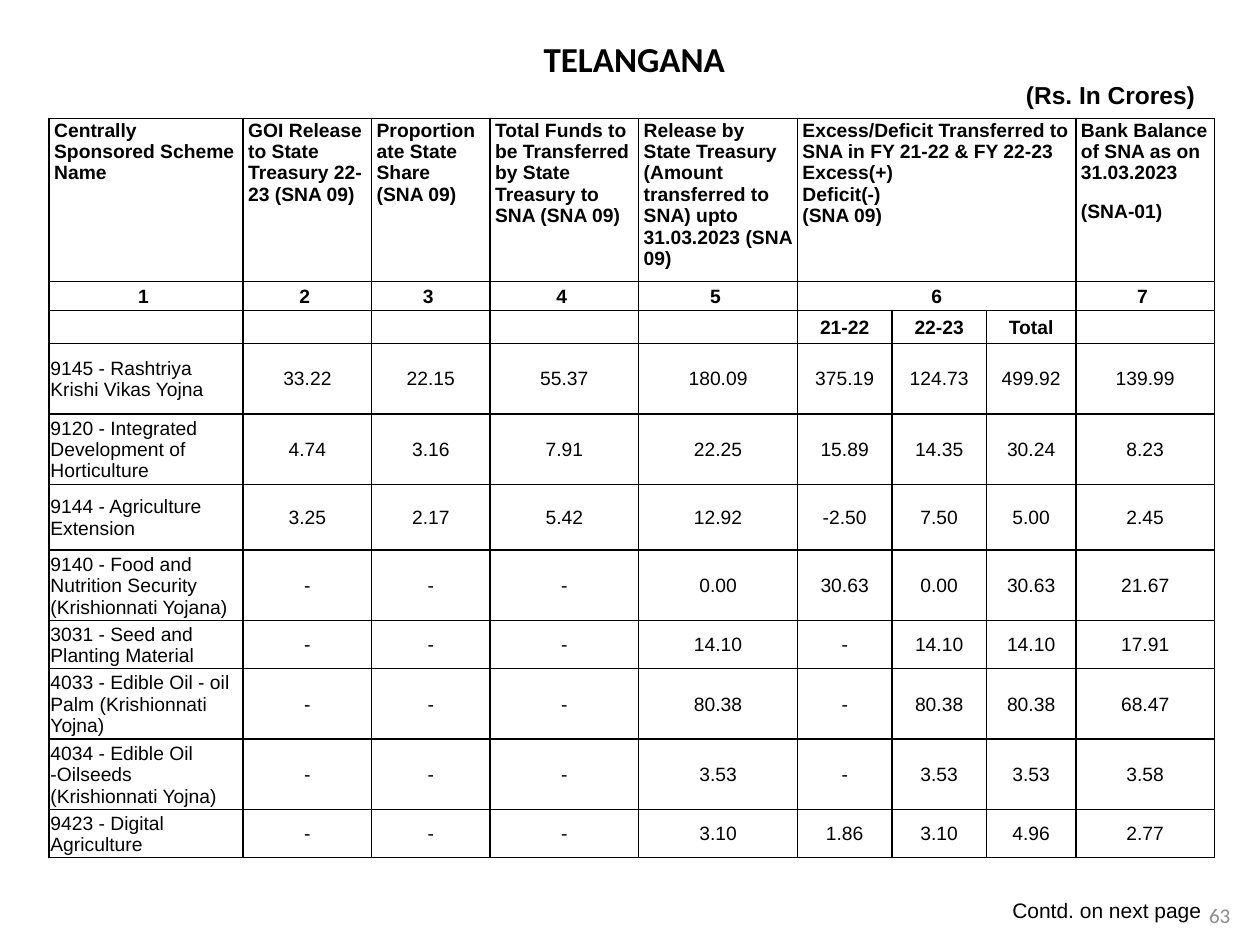
import dataclasses
import pptx
import pptx.dml.color
import pptx.enum.text
import pptx.oxml
import pptx.oxml.ns
import pptx.util

Inches = pptx.util.Inches
Pt = pptx.util.Pt
RGB = pptx.dml.color.RGBColor
ALIGN = pptx.enum.text.PP_ALIGN
ANCHOR = pptx.enum.text.MSO_ANCHOR
FIT = pptx.enum.text.MSO_AUTO_SIZE

BLACK = RGB(0x00, 0x00, 0x00)
GRAY = RGB(0x8C, 0x8C, 0x8C)

WIDTHS = [1.54, 1.02, 0.94, 1.18, 1.26, 0.75, 0.75, 0.71, 1.1]
HEIGHTS = [1.29, 0.23, 0.26, 0.56, 0.56, 0.52, 0.56, 0.38, 0.56, 0.56, 0.38]
SPAN = 5, 7  # columns under the excess/deficit heading


@dataclasses.dataclass
class Scheme:
    name: str
    sums: str


@dataclasses.dataclass
class Note:
    text: str
    box: tuple
    font: str
    color: RGB
    wrap: bool


HEADS = [
    "Centrally Sponsored Scheme Name",
    "GOI Release to State Treasury 22-23 (SNA 09)",
    "Proportionate State Share\v(SNA 09)",
    "Total Funds to be Transferred by State Treasury to SNA (SNA 09)",
    "Release by State Treasury (Amount transferred to SNA) upto 31.03.2023 (SNA 09)",
    "Excess/Deficit Transferred to SNA in FY 21-22 & FY 22-23\nExcess(+)\nDeficit(-)\n(SNA 09)",
    "", "",
    "Bank Balance of SNA as on 31.03.2023\n(SNA-01)",
]
MARKS = ["1 ", "2 ", "3 ", "4 ", "5 ", "6", "", "", "7 "]
YEARS = [""] * 5 + ["21-22", "22-23", "Total", ""]
SCHEMES = [
    Scheme("9145 - Rashtriya Krishi Vikas Yojna",
           "33.22 22.15 55.37 180.09 375.19 124.73 499.92 139.99"),
    Scheme("9120 - Integrated Development of Horticulture",
           "4.74 3.16 7.91 22.25 15.89 14.35 30.24 8.23"),
    Scheme("9144 - Agriculture Extension",
           "3.25 2.17 5.42 12.92 -2.50 7.50 5.00 2.45"),
    Scheme("9140 - Food and Nutrition Security (Krishionnati Yojana)",
           "- - - 0.00 30.63 0.00 30.63 21.67"),
    Scheme("3031 - Seed and Planting Material",
           "- - - 14.10 - 14.10 14.10 17.91"),
    Scheme("4033 - Edible Oil - oil Palm (Krishionnati Yojna)",
           "- - - 80.38 - 80.38 80.38 68.47"),
    Scheme("4034 - Edible Oil -Oilseeds (Krishionnati Yojna)",
           "- - - 3.53 - 3.53 3.53 3.58"),
    Scheme("9423 - Digital Agriculture",
           "- - - 3.10 1.86 3.10 4.96 2.77"),
]
NOTES = [
    Note("63", (9.48, 7.06, 0.4, 0.4), "Calibri", GRAY, True),
    Note("Contd. on next page", (7.93, 7.07, 1.71, 0.3), "Arial", BLACK, False),
]


def write(frame, text: str, size=11, font="Arial", color=BLACK, bold=False,
          align=ALIGN.LEFT, after=0, space=None, more=False) -> None:
    """Fill a text frame, one paragraph a line; more adds to what is there."""
    for i, line in enumerate(text.split("\n")):
        para = frame.add_paragraph() if more or i else frame.paragraphs[0]
        para.text = line
        para.alignment = align
        para.space_after = Pt(after)
        if space:
            para.line_spacing = space
        for run in para.runs:
            run.font.size = Pt(size)
            run.font.name = font
            run.font.bold = bold
            run.font.color.rgb = color
        if not line:  # keeps an empty cell as low as its row
            para._p.get_or_add_endParaRPr().set("sz", str(size * 100))


def style(cell, side: float) -> None:
    """Set black borders, no fill and tight margins."""
    props = cell._tc.get_or_add_tcPr()
    for edge in "LRTB":
        props.append(pptx.oxml.parse_xml(
            f'<a:ln{edge} {pptx.oxml.ns.nsdecls("a")} w="12700"><a:solidFill>'
            f'<a:srgbClr val="{BLACK}"/></a:solidFill></a:ln{edge}>'))
    cell.fill.background()
    cell.margin_left = cell.margin_right = Inches(side)
    cell.margin_top = Inches(0.01)
    cell.margin_bottom = 0


def add_grid(slide) -> None:
    rows = [HEADS, MARKS, YEARS]
    rows += [[item.name] + item.sums.split() for item in SCHEMES]
    grid = slide.shapes.add_table(
        len(rows), len(WIDTHS), Inches(0.39), Inches(0.94),
        Inches(sum(WIDTHS)), Inches(sum(HEIGHTS))).table
    grid.first_row = grid.horz_banding = False
    for col, width in zip(grid.columns, WIDTHS):
        col.width = Inches(width)
    for row, height in zip(grid.rows, HEIGHTS):
        row.height = Inches(height)

    for r, row in enumerate(rows):
        for c, text in enumerate(row):
            cell = grid.cell(r, c)
            style(cell, 0.04 if r < 2 else 0.01)
            cell.vertical_anchor = ANCHOR.TOP if r < 2 else ANCHOR.MIDDLE
            left = r == 0 or (r > 2 and c == 0)
            write(cell.text_frame, text, bold=r < 3,
                  align=ALIGN.LEFT if left else ALIGN.CENTER,
                  after=10 if r < 2 and (r, c) != (0, SPAN[0]) else 0,
                  space=1.15 if r == 1 else None)
    for r in range(2):
        grid.cell(r, SPAN[0]).merge(grid.cell(r, SPAN[1]))


def add_note(slide, note: Note) -> None:
    frame = slide.shapes.add_textbox(*map(Inches, note.box)).text_frame
    frame.word_wrap = note.wrap
    frame.vertical_anchor = ANCHOR.MIDDLE
    if not note.wrap:
        frame.auto_size = FIT.SHAPE_TO_FIT_TEXT
    write(frame, note.text, size=12, font=note.font, color=note.color,
          align=ALIGN.CENTER)


def main() -> None:
    deck = pptx.Presentation()
    deck.slide_width, deck.slide_height = Inches(10), Inches(7.5)
    slide = deck.slides.add_slide(deck.slide_layouts[5])

    # State name and unit
    title = slide.shapes.title
    title.left, title.top = Inches(0.43), Inches(0.25)
    title.width, title.height = Inches(9.21), Inches(0.67)
    frame = title.text_frame
    frame.word_wrap = True
    frame.auto_size = FIT.SHAPE_TO_FIT_TEXT
    frame.vertical_anchor = ANCHOR.TOP
    write(frame, "TELANGANA", size=20, font="Calibri", bold=True,
          align=ALIGN.CENTER)
    write(frame, "(Rs. In Crores) ", size=14, bold=True, align=ALIGN.RIGHT,
          more=True)

    # Scheme table, then page number and footer
    add_grid(slide)
    for note in NOTES:
        add_note(slide, note)
    deck.save("out.pptx")


if __name__ == "__main__":
    main()
